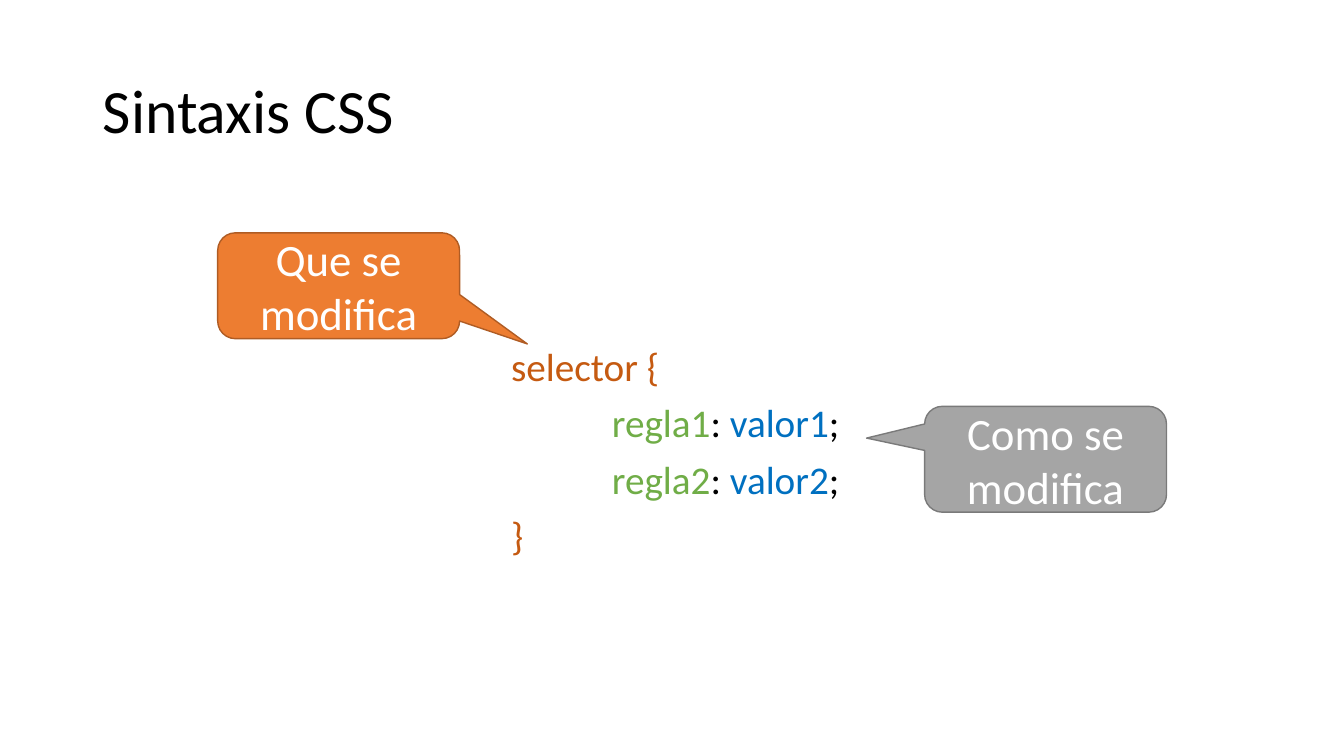
"""Build the CSS syntax slide."""
from lxml import etree
from pptx import Presentation, util as u
from pptx.dml.color import RGBColor
from pptx.enum import shapes, text
from pptx.oxml import ns

HUES = {
    "black": "000000", "white": "FFFFFF",
    "rust": "C55A11", "green": "70AD47", "blue": "0070C0",
    "orange": "ED7D31", "brown": "AF5C24",
    "gray": "A5A5A5", "slate": "7A7A7A",
}


class Deck:
    """Hold the style and current slide; lengths are percent of slide size."""

    font = "Calibri"

    def __init__(self, wide, high):
        self.prs = Presentation()
        self.prs.slide_width = u.Inches(wide)
        self.prs.slide_height = u.Inches(high)
        self.slide = self.prs.slides.add_slide(self.prs.slide_layouts[1])

    def hue(self, name):
        return RGBColor.from_string(HUES[name])

    def box(self, left, top, wide, high):
        cell_w = self.prs.slide_width / 100
        cell_h = self.prs.slide_height / 100
        return (round(left * cell_w), round(top * cell_h),
                round(wide * cell_w), round(high * cell_h))

    def place(self, item, area):
        item.left, item.top, item.width, item.height = self.box(*area)

    def frame(self, item, anchor):
        frame = item.text_frame
        frame.word_wrap = True
        frame.auto_size = text.MSO_AUTO_SIZE.NONE
        frame.vertical_anchor = anchor
        return frame

    def fill_in(self, para, runs, size, align):
        para.alignment = align
        for words, color in runs:
            run = para.add_run()
            run.text = words
            run.font.name = self.font
            run.font.size = u.Pt(size)
            run.font.color.rgb = self.hue(color)

    def title(self, words, area):
        item = self.slide.shapes.title
        self.place(item, area)
        para = self.frame(item, text.MSO_ANCHOR.MIDDLE).paragraphs[0]
        para.line_spacing = 0.9
        self.fill_in(para, [(words, "black")], 44, text.PP_ALIGN.LEFT)

    def code(self, lines, area):
        item = self.slide.placeholders[1]
        self.place(item, area)
        frame = self.frame(item, text.MSO_ANCHOR.TOP)
        for num, (depth, runs) in enumerate(lines):
            para = frame.add_paragraph() if num else frame.paragraphs[0]
            para.line_spacing = 0.9
            para.space_before = u.Pt(10)
            self.fill_in(para, runs, 28, text.PP_ALIGN.LEFT)
            props = para._p.get_or_add_pPr()
            props.set("marL", str(u.Inches(depth)))
            props.set("indent", "0")
            etree.SubElement(props, ns.qn("a:buNone"))

    def callout(self, words, area, tip, fill, edge):
        kind = shapes.MSO_SHAPE.ROUNDED_RECTANGULAR_CALLOUT
        item = self.slide.shapes.add_shape(kind, *self.box(*area))
        for num, value in enumerate((*tip, 0.167)):
            item.adjustments[num] = value
        item.shadow.inherit = False
        item.fill.solid()
        item.fill.fore_color.rgb = self.hue(fill)
        item.line.color.rgb = self.hue(edge)
        item.line.width = u.Pt(1)
        para = self.frame(item, text.MSO_ANCHOR.MIDDLE).paragraphs[0]
        self.fill_in(para, [(words, "white")], 32, text.PP_ALIGN.CENTER)


def rule(num):
    return [(f"regla{num}", "green"), (": ", "black"),
            (f"valor{num}", "blue"), (";", "black")]


def main():
    deck = Deck(13.33, 7.5)
    deck.title("Sintaxis CSS", (6.9, 5.33, 86.25, 19.33))
    deck.code([
        (0, [("selector {", "rust")]),
        (1, rule(1)),
        (1, rule(2)),
        (0, [("}", "rust")]),
    ], (37.28, 45.33, 28.65, 30.8))
    deck.callout("Que se modifica", (16.2, 30.8, 18, 14),
                 (0.78, 0.55), "orange", "brown")
    deck.callout("Como se modifica", (68.8, 53.75, 18, 14),
                 (-0.74, -0.2), "gray", "slate")
    deck.prs.save("out.pptx")


if __name__ == "__main__":
    main()
